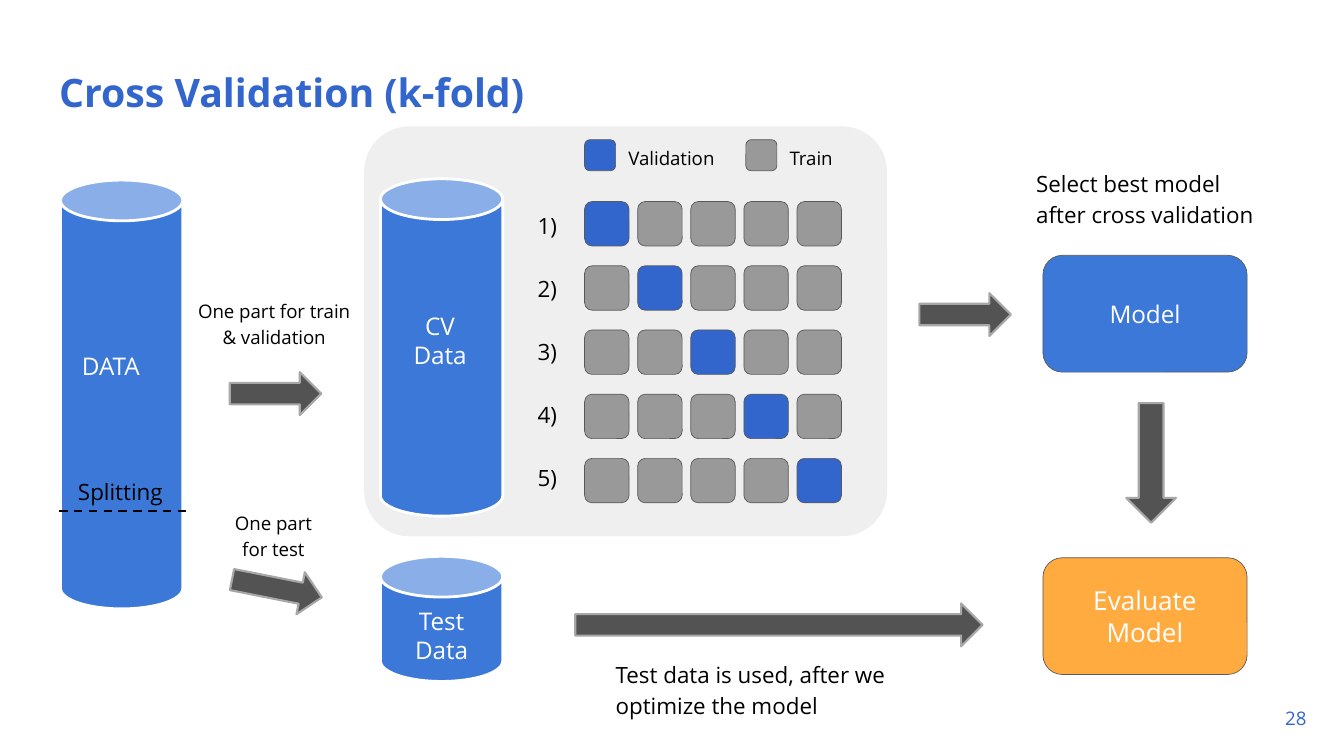
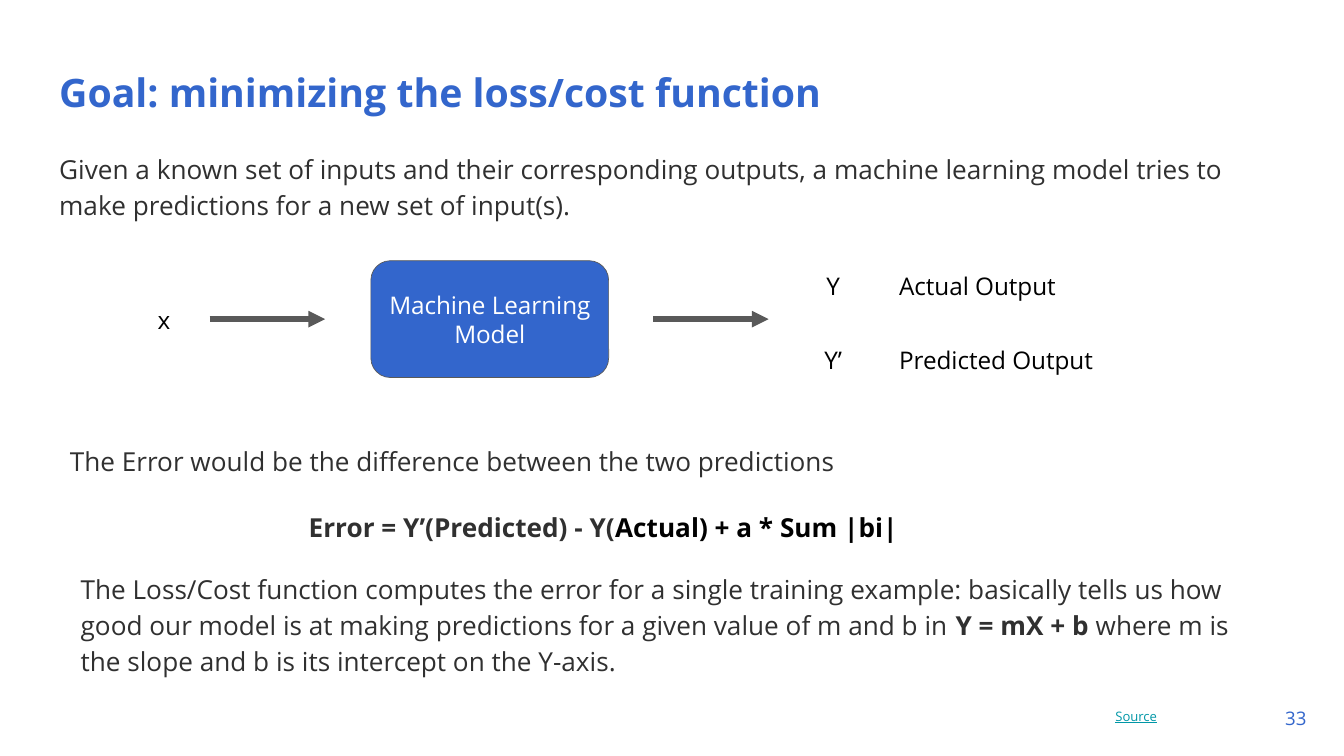
from pptx import Presentation
from pptx import util as u
from pptx.dml.color import RGBColor
from pptx.enum import dml, shapes, text
from pptx.oxml.ns import qn
from lxml import etree

COLORS = {
    "title": "3366CC", "blue": "3C78D8", "validation": "3366CC", "train": "999999",
    "panel": "EFEFEF", "orange": "FFAB40", "arrow": "535353", "arrow_edge": "A7A7A7",
    "edge": "595959", "body": "303030", "link": "0097A7", "black": "000000", "white": "FFFFFF",
}
FONT = "Open Sans"
KIND = shapes.MSO_SHAPE
CENTER = text.PP_ALIGN.CENTER
RIGHT = text.PP_ALIGN.RIGHT
MIDDLE = text.MSO_ANCHOR.MIDDLE
TOP = text.MSO_ANCHOR.TOP


def color(name):
    """Return the named palette colour."""
    return RGBColor.from_string(COLORS[name])


def points(*values):
    """Convert numbers to lengths in points."""
    return [u.Pt(value) for value in values]


def write_text(shape, content, size=12, ink="black", bold=False, underline=None, align=None,
               anchor=TOP, spacing=1.0, inset=3.6, before=0, after=0):
    """Fill a shape with paragraphs; a paragraph is a string or a list of (text, changes)."""
    frame = shape.text_frame
    frame.word_wrap = True
    frame.auto_size = text.MSO_AUTO_SIZE.NONE
    frame.vertical_anchor = anchor
    frame.margin_left = frame.margin_right = u.Pt(inset)
    frame.margin_top = frame.margin_bottom = u.Pt(inset)
    paragraphs = content.split("\n") if isinstance(content, str) else content
    for index, runs in enumerate(paragraphs):
        paragraph = frame.paragraphs[0] if index == 0 else frame.add_paragraph()
        paragraph.alignment = align
        paragraph.line_spacing = spacing
        paragraph.space_before = u.Pt(before if index else 0)
        paragraph.space_after = u.Pt(after)
        for words, changes in [(runs, {})] if isinstance(runs, str) else runs:
            run = paragraph.add_run()
            run.text = words
            run.font.name = FONT
            run.font.size = u.Pt(size)
            run.font.bold = changes.get("bold", bold)
            run.font.underline = underline
            run.font.color.rgb = color(changes.get("ink", ink))


def add_label(slide, box, content, **style):
    """Add a text box."""
    write_text(slide.shapes.add_textbox(*points(*box)), content, **style)


def add_figure(canvas, kind, box, fill, edge=None, width=0.38, adjust=None, turn=0):
    """Add a filled preset shape to a shape collection."""
    shape = canvas.add_shape(kind, *points(*box))
    shape.shadow.inherit = False
    shape.fill.solid()
    shape.fill.fore_color.rgb = color(fill)
    if edge:
        shape.line.color.rgb = color(edge)
        shape.line.width = u.Pt(width)
    else:
        shape.line.fill.background()
    if adjust is not None:
        shape.adjustments[0] = adjust
    shape.rotation = turn
    return shape


def add_can(slide, box):
    """Add a data cylinder."""
    add_figure(slide.shapes, KIND.CAN, box, "blue", "white", 1.5, 0.333)


def add_block_arrow(slide, box, turn=0):
    """Add a dark block arrow."""
    add_figure(slide.shapes, KIND.RIGHT_ARROW, box, "arrow", "arrow_edge", 1.13, turn=turn)


def add_box(slide, box, fill, content, size=13):
    """Add a rounded box with a centred caption."""
    shape = add_figure(slide.shapes, KIND.ROUNDED_RECTANGLE, box, fill, "edge")
    write_text(shape, content, size=size, ink="white", align=CENTER, anchor=MIDDLE)


def add_square(canvas, left, top, side, fill):
    """Add one fold or legend square."""
    add_figure(canvas, KIND.ROUNDED_RECTANGLE, (left, top, side, side), fill, "edge")


def add_line(slide, kind, left, right, y, ink, width, dashed=False, arrow=False):
    """Add a horizontal connector."""
    connector = slide.shapes.add_connector(kind, *points(left, y, right, y))
    connector.line.color.rgb = color(ink)
    connector.line.width = u.Pt(width)
    if dashed:
        connector.line.dash_style = dml.MSO_LINE.DASH
    properties = connector.element.spPr
    if arrow:
        etree.SubElement(properties.find(qn("a:ln")), qn("a:tailEnd"), type="triangle")
    etree.SubElement(properties, qn("a:effectLst"))


def place(shape, box):
    """Move and size a placeholder."""
    shape.left, shape.top, shape.width, shape.height = points(*box)


def add_body(shape, box, content, **style):
    """Format a body placeholder as plain paragraphs without bullets."""
    place(shape, box)
    write_text(shape, content, size=14, ink="body", spacing=1.15, inset=7.2, **style)
    for paragraph in shape.text_frame.paragraphs:
        properties = paragraph._p.get_or_add_pPr()
        properties.set("marL", "0")
        properties.set("indent", "0")
        etree.SubElement(properties, qn("a:buNone"))


def start_slide(presentation, layout, title, number):
    """Add a slide with its title and page number."""
    slide = presentation.slides.add_slide(presentation.slide_layouts[layout])
    place(slide.shapes.title, (24.5, 23, 631.4, 43.2))
    write_text(slide.shapes.title, title, size=21, ink="title", bold=True,
               align=text.PP_ALIGN.LEFT, spacing=1.25, inset=7.2)
    add_label(slide, (663.8, 376.6, 43.2, 16.6), number, size=10, ink="title",
              align=RIGHT, anchor=MIDDLE, inset=7.2)
    return slide


def add_folds(slide, count=5):
    """Draw the numbered fold rows with the validation part on the diagonal."""
    for row in range(count):
        add_label(slide, (284.4, 110.2 + 33.7 * row, 20.9, 23), f"{row + 1})")
        group = slide.shapes.add_group_shape()
        for column in range(count):
            fill = "validation" if row == column else "train"
            add_square(group.shapes, 313.2 + 28.45 * column, 108 + 34.4 * row, 23.8, fill)


def build_cross_validation(presentation):
    """Build the k-fold slide."""
    slide = start_slide(presentation, 5, "Cross Validation (k-fold)", "28")
    panel = add_figure(slide.shapes, KIND.ROUNDED_RECTANGLE, (195.1, 67.7, 280.1, 219.6),
                       "panel", adjust=0.11)
    slide.shapes.title.element.addprevious(panel.element)

    for box in ((203.8, 95.8, 65.5, 180.7), (203.8, 298.1, 65.5, 67), (32.4, 96.5, 65.5, 229.7)):
        add_can(slide, box)
    for box, content, align in (
        ((203, 151.2, 65.5, 62.6), "CV\nData", CENTER),
        ((207.4, 316.8, 58.3, 47.5), "Test\nData", CENTER),
        ((40.3, 180, 49, 32.4), "DATA", None),
    ):
        add_label(slide, box, content, size=13, ink="white", align=align, anchor=MIDDLE)

    add_line(slide, shapes.MSO_CONNECTOR.STRAIGHT, 31.7, 101.5, 273.6, "black", 1.13, dashed=True)
    add_label(slide, (38.2, 249.8, 62.6, 27.4), "Splitting", anchor=MIDDLE)
    for box, content in (
        ((115.2, 264.2, 62.6, 43.9), "One part for test"),
        ((101.5, 154.8, 90.7, 36), "One part for train & validation"),
    ):
        add_label(slide, box, content, size=10, align=CENTER, anchor=MIDDLE, spacing=1.15)

    add_folds(slide)
    for left, width, name in ((313.2, 58.3, "Validation"), (399.6, 36.7, "Train")):
        add_square(slide.shapes, left, 74.9, 16.6, name.lower())
        add_label(slide, (left + 19.8, 73.4, width, 19.4), name, size=10, spacing=1.15)

    add_box(slide, (558.7, 136.8, 109.4, 62.6), "blue", "Model")
    add_box(slide, (558.7, 298.8, 109.4, 62.6), "orange", "Evaluate\nModel", size=14)
    for box, turn in (
        ((123.1, 199.4, 49, 23), 0),
        ((123.8, 303.8, 49, 23), 11.2),
        ((492.5, 157, 49, 23), 0),
        ((584.6, 234.7, 64.1, 26.6), 90),
        ((308.2, 323.3, 218.2, 23), 0),
    ):
        add_block_arrow(slide, box, turn)
    for box, content in (
        ((551.5, 85.7, 127.4, 40.3), "Select best model after cross validation"),
        ((326.2, 348.5, 182.9, 40.3), "Test data is used, after we optimize the model"),
    ):
        add_label(slide, box, content, spacing=1.15)


def build_loss_function(presentation):
    """Build the loss function slide."""
    slide = start_slide(presentation, 4, "Goal: minimizing the loss/cost function", "33")
    intro, error, loss, spare = list(slide.placeholders)[1:]
    spare.element.getparent().remove(spare.element)

    add_label(slide, (594, 375.8, 86.4, 19.4), "Source", size=7, ink="link", underline=True)
    add_box(slide, (198.7, 139.7, 127.4, 62.6), "validation", "Machine Learning Model")
    for left in (112.3, 349.9):
        add_line(slide, shapes.MSO_CONNECTOR.CURVE, left, left + 61.9, 171, "edge", 3, arrow=True)
    add_label(slide, (71.3, 159.8, 33.1, 23), "x", size=13, align=CENTER)
    for top, symbol, meaning in ((141.8, "Y", "Actual Output"), (181.4, "Y’", "Predicted Output")):
        add_label(slide, (429.8, top, 33.1, 23), symbol, size=13, align=CENTER)
        add_label(slide, (478.1, top, 122.4, 23), meaning, size=13)

    add_body(intro, (24.5, 72.7, 671, 50.4),
             "Given a known set of inputs and their corresponding outputs, a machine learning "
             "model tries to make predictions for a new set of input(s).")
    add_body(error, (30.2, 229, 586.1, 68.4), [
        "The Error would be the difference between the two predictions",
        [("Error = Y’(Predicted) - Y(", {"bold": True}),
         ("Actual) + a * Sum |bi|", {"bold": True, "ink": "black"})],
    ], before=16)
    error.text_frame.paragraphs[1].alignment = CENTER
    add_body(loss, (36, 297.4, 635, 68.4), [[
        ("The Loss/Cost function computes the error for a single training example: basically "
         "tells us how good our model is at making predictions for a given value of m and b in ", {}),
        ("Y = mX + b", {"bold": True}),
        (" where m is the slope and b is its intercept on the Y-axis.", {}),
    ]], after=16)


def main():
    """Build and save the presentation."""
    presentation = Presentation()
    presentation.slide_width, presentation.slide_height = points(720, 405)
    build_cross_validation(presentation)
    build_loss_function(presentation)
    presentation.save("out.pptx")


if __name__ == "__main__":
    main()
